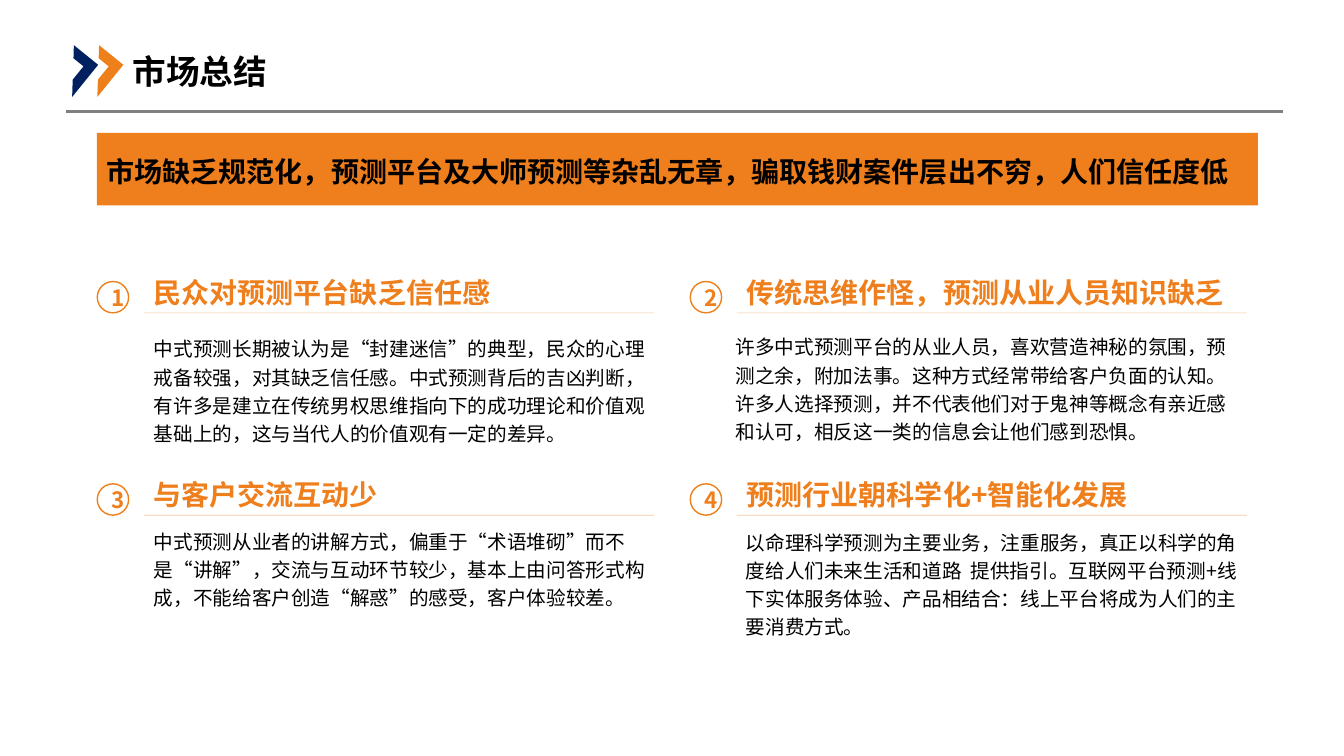
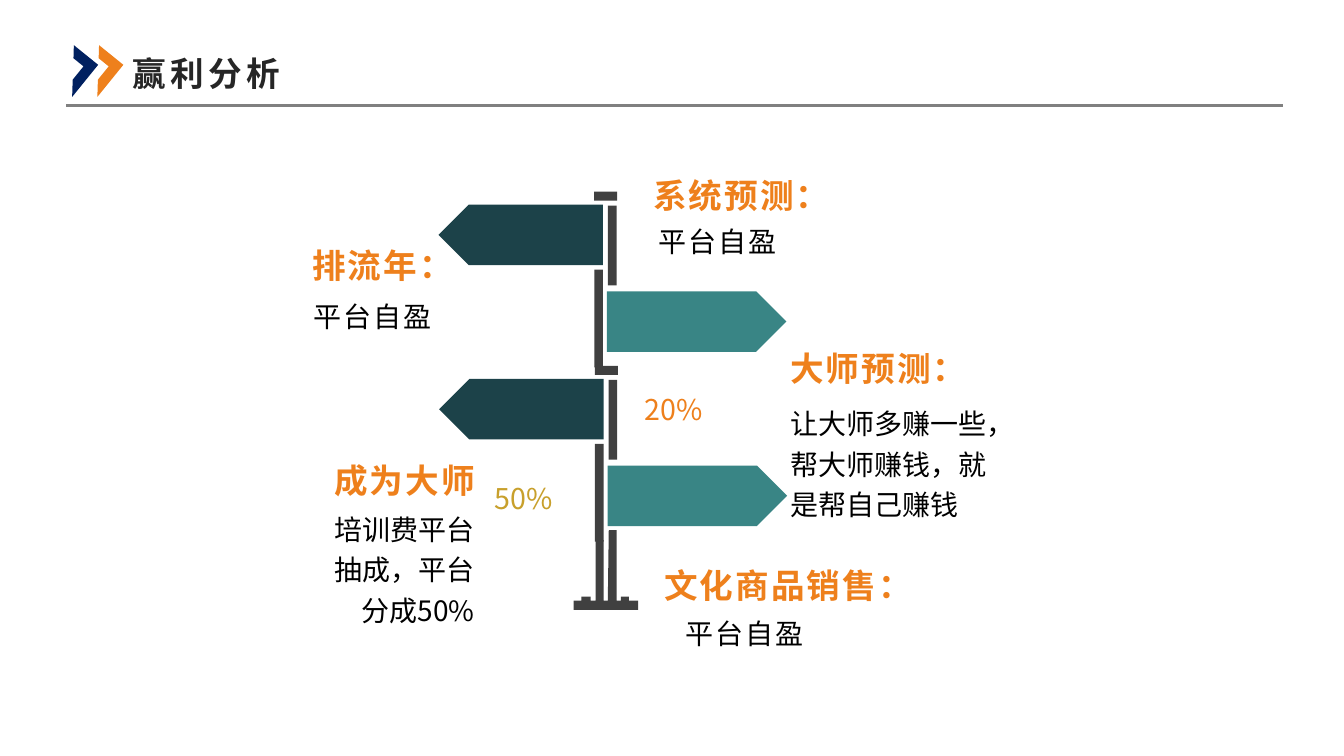
from lxml import etree
from pptx import Presentation
from pptx.dml.color import RGBColor
from pptx.enum import shapes, text
from pptx.oxml.ns import qn
from pptx.util import Pt

NOTO, ARIAL = "Noto Sans CJK SC", "Arial"
BLACK, INK, GREY, POST = "000000", "262626", "808080", "404040"
ORANGE, ACCENT, NAVY, GOLD = "EE7F1C", "EE801C", "002060", "C8A02C"
TEAL, DARK_TEAL = "398585", "1C4249"
LEFT, CENTER, RIGHT = text.PP_ALIGN.LEFT, text.PP_ALIGN.CENTER, text.PP_ALIGN.RIGHT
TOP, MIDDLE = text.MSO_ANCHOR.TOP, text.MSO_ANCHOR.MIDDLE
SHAPE = shapes.MSO_SHAPE

DEFAULT_INSETS = (7.2, 3.6, 7.2, 3.6)
HEADING_INSETS = (7.2, 3.6, 7.2, 0)
BODY_INSETS = (7.2, 0, 7.2, 3.6)

# Column, row, heading, body, body left, body top
COLUMNS, ROWS = (102.7, 526.3), (223.5, 368)
CARD_WIDTH = 364.4
CARDS = [
    (0, 0, "民众对预测平台缺乏信任感",
     "中式预测长期被认为是“封建迷信”的典型，民众的心理戒备较强，对其缺乏信任感。"
     "中式预测背后的吉凶判断，有许多是建立在传统男权思维指向下的成功理论和价值观基础上的，"
     "这与当代人的价值观有一定的差异。", 102.8, 234),
    (1, 0, "传统思维作怪，预测从业人员知识缺乏",
     "许多中式预测平台的从业人员，喜欢营造神秘的氛围，预测之余，附加法事。"
     "这种方式经常带给客户负面的认知。许多人选择预测，并不代表他们对于鬼神等概念有亲近感和认可，"
     "相反这一类的信息会让他们感到恐惧。", 518.4, 232.6),
    (0, 1, "与客户交流互动少",
     "中式预测从业者的讲解方式，偏重于“术语堆砌”而不是“讲解”，交流与互动环节较少，"
     "基本上由问答形式构成，不能给客户创造“解惑”的感受，客户体验较差。", 102.8, 371.5),
    (1, 1, "预测行业朝科学化+智能化发展",
     "以命理科学预测为主要业务，注重服务，真正以科学的角度给人们未来生活和道路  提供指引。"
     "互联网平台预测+线下实体服务体验、产品相结合：线上平台将成为人们的主要消费方式。", 525.6, 372.2),
]

# Heading, its box, body, its box, alignment, body letter spacing
SIGN_LABELS = [
    ("系统预测：", (459.4, 121, 180.7, 28), "平台自盈", (463, 155.5, 165, 28), LEFT, 1.5),
    ("排流年：", (216, 162, 170.6, 46), "平台自盈", (216.7, 209.5, 136.8, 61), LEFT, 1.5),
    ("大师预测：", (557.3, 233.3, 170.6, 49.7), "让大师多赚一些，帮大师赚钱，就是帮自己赚钱",
     (557.3, 285.8, 156.2, 93), LEFT, 0),
    ("成为大师", (216, 324, 130.3, 28), "培训费平台抽成，平台分成50%",
     (226.1, 361.4, 120.2, 119.5), RIGHT, 0),
    ("文化商品销售：", (467.3, 389.5, 188.6, 46.8), "平台自盈", (482.4, 435.6, 141.8, 43.2), LEFT, 1.5),
]

SIGN_STEP = (0.5, 124.5)
POST_PARTS = [
    (424.4, 136.8, 16.4, 6.5),
    (434.2, 146.9, 6.2, 57),
    (424.5, 192.6, 6.2, 69.8),
]
POST_BASE = [
    (449.3, 429.1), (449.3, 426.2), (443.5, 426.2), (443.5, 429.1), (440.6, 429.1),
    (440.6, 378.7), (434.9, 378.7), (434.2, 429.1), (431.3, 429.1), (431.3, 385.9),
    (425.5, 385.9), (425.5, 429.1), (421.9, 429.1), (421.9, 426.2), (415.4, 426.2),
    (415.4, 429.1), (409.7, 429.1), (409.7, 435.6), (455.8, 435.6), (455.8, 429.1),
]


def color(value):
    return RGBColor.from_string(value)


class Deck:
    def __init__(self):
        self.presentation = Presentation()
        self.presentation.slide_width = Pt(960)
        self.presentation.slide_height = Pt(540)
        self.slide = None

    def new_slide(self, title, rule_top, box, **title_style):
        self.slide = self.presentation.slides.add_slide(self.presentation.slide_layouts[6])
        self.line(47.5, rule_top, 916.5, GREY, 2.25)
        self.text(title, box, 24, bold=True, **title_style)
        for left, fill in ((37.4, NAVY), (55.4, ACCENT)):
            self.shape(SHAPE.HALF_FRAME, (left, 39.6, 29.5, 22.3), fill).rotation = 129

    def paint(self, shape, fill=None, outline=None):
        shape.shadow.inherit = False
        if fill:
            shape.fill.solid()
            shape.fill.fore_color.rgb = color(fill)
        else:
            shape.fill.background()
        if outline:
            shape.line.color.rgb = color(outline)
            shape.line.width = Pt(1)
        else:
            shape.line.fill.background()
        return shape

    def shape(self, kind, box, fill=None, outline=None):
        shape = self.slide.shapes.add_shape(kind, *map(Pt, box))
        return self.paint(shape, fill, outline)

    def polygon(self, points, fill):
        start, *rest = [(Pt(x), Pt(y)) for x, y in points]
        builder = self.slide.shapes.build_freeform(*start)
        builder.add_line_segments(rest, close=True)
        return self.paint(builder.convert_to_shape(), fill)

    def line(self, left, top, right, stroke, width, alpha=None):
        """Draw a horizontal line; alpha is its opacity in percent."""
        connector = self.slide.shapes.add_connector(
            shapes.MSO_CONNECTOR.STRAIGHT, Pt(left), Pt(top), Pt(right), Pt(top))
        connector.line.color.rgb = color(stroke)
        connector.line.width = Pt(width)
        properties = connector._element.spPr
        if alpha:
            stroke_color = properties.find(".//" + qn("a:srgbClr"))
            etree.SubElement(stroke_color, qn("a:alpha")).set("val", str(alpha * 1000))
        etree.SubElement(properties, qn("a:effectLst"))

    def text(self, words, box, size, **style):
        shape = self.slide.shapes.add_textbox(*map(Pt, box))
        self.set_text(shape, words, size, **style)

    def set_text(self, shape, words, size, ink=BLACK, bold=False, font=NOTO, align=LEFT,
                 anchor=TOP, insets=DEFAULT_INSETS, line_spacing=1.0, letter_spacing=0, wrap=True):
        frame = shape.text_frame
        frame.word_wrap = wrap
        frame.vertical_anchor = anchor
        frame.margin_left, frame.margin_top, frame.margin_right, frame.margin_bottom = map(Pt, insets)
        paragraph = frame.paragraphs[0]
        paragraph.text = words
        paragraph.alignment = align
        paragraph.line_spacing = line_spacing
        paragraph.font.size = Pt(size)
        paragraph.font.bold = bold
        paragraph.font.color.rgb = color(ink)
        paragraph.font.name = font
        defaults = paragraph._p.pPr.find(qn("a:defRPr"))
        etree.SubElement(defaults, qn("a:ea")).set("typeface", font)
        if letter_spacing:
            defaults.set("spc", str(int(letter_spacing * 100)))

    def card(self, number, left, rule_top, heading, body, body_left, body_top):
        self.line(left, rule_top, left + CARD_WIDTH, ACCENT, 0.5, alpha=44)
        self.text(heading, (left, rule_top - 35.3, CARD_WIDTH, 32.4), 20,
                  ink=ORANGE, bold=True, line_spacing=1.2)
        badge = self.shape(SHAPE.OVAL, (left - 33.2, rule_top - 22.4, 22.4, 22.4), outline=ACCENT)
        self.set_text(badge, str(number), 16, ink=ORANGE, bold=True, align=CENTER, anchor=MIDDLE)
        self.text(body, (body_left, body_top, CARD_WIDTH + 1, 88.6), 14, line_spacing=1.2)

    def sign_pair(self, dx, dy):
        """Draw a post section with one sign to each side."""
        left_sign = self.shape(SHAPE.PENTAGON, (313.2 + dx, 146.2 + dy, 117.4, 43.2), DARK_TEAL)
        left_sign.rotation = 180
        self.shape(SHAPE.PENTAGON, (433.5 + dx, 208.1 + dy, 128.2, 43.2), TEAL)
        for left, top, width, height in POST_PARTS:
            self.shape(SHAPE.RECTANGLE, (left + dx, top + dy, width, height), POST)

    def sign_label(self, heading, heading_box, body, body_box, align, letter_spacing):
        self.text(heading, heading_box, 24, ink=ACCENT, bold=True, align=align, anchor=MIDDLE,
                  insets=HEADING_INSETS, line_spacing=1.2, letter_spacing=1.5)
        self.text(body, body_box, 20, align=align, insets=BODY_INSETS,
                  line_spacing=1.2, letter_spacing=letter_spacing)


def market_summary(deck):
    deck.new_slide("市场总结", 79.9, (87.8, 33.1, 110.2, 36), wrap=False)
    banner = deck.shape(SHAPE.RECTANGLE, (69.1, 95, 829.4, 51.8), ORANGE)
    deck.set_text(banner, "市场缺乏规范化，预测平台及大师预测等杂乱无章，骗取钱财案件层出不穷，人们信任度低",
                  20, bold=True, font=ARIAL, line_spacing=1.5)
    for number, (column, row, *content) in enumerate(CARDS, 1):
        deck.card(number, COLUMNS[column], ROWS[row], *content)


def profit_analysis(deck):
    deck.new_slide("赢利分析", 75.6, (87.8, 24.5, 160.6, 55.4), ink=INK, font=ARIAL,
                   anchor=MIDDLE, letter_spacing=3)
    for step in range(2):
        deck.sign_pair(*(step * offset for offset in SIGN_STEP))
    deck.polygon(POST_BASE, POST)
    deck.text("50%", (353.5, 334, 77, 39.6), 20.4, ink=GOLD,
              insets=(0, 5, 5, 5), line_spacing=1.2)
    deck.text("20%", (424.8, 275, 77, 33.8), 20.4, ink=ACCENT, align=RIGHT,
              insets=(0, 0, 0, 0), line_spacing=1.2)
    for label in SIGN_LABELS:
        deck.sign_label(*label)


def main():
    deck = Deck()
    market_summary(deck)
    profit_analysis(deck)
    deck.presentation.save("out.pptx")


if __name__ == "__main__":
    main()
